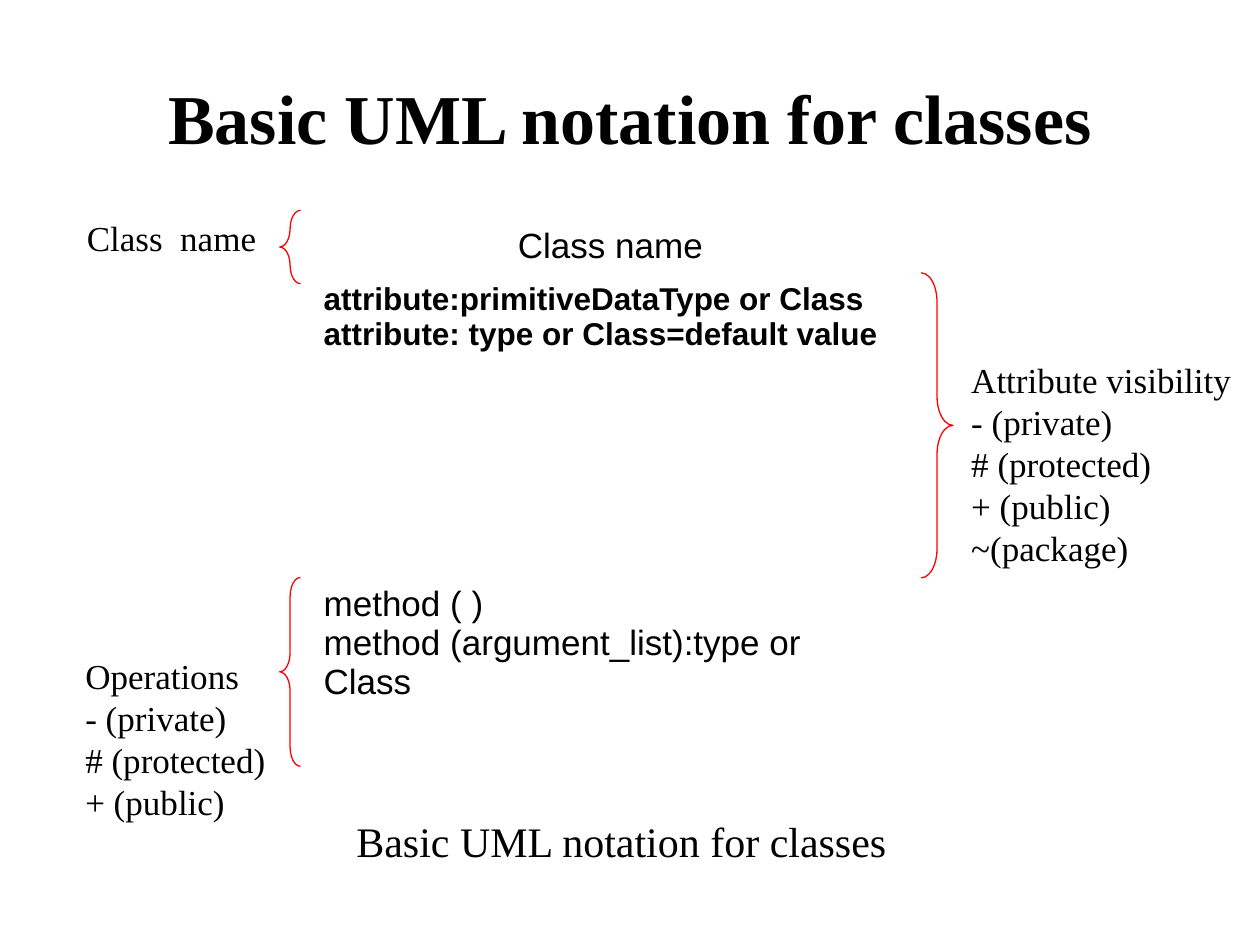
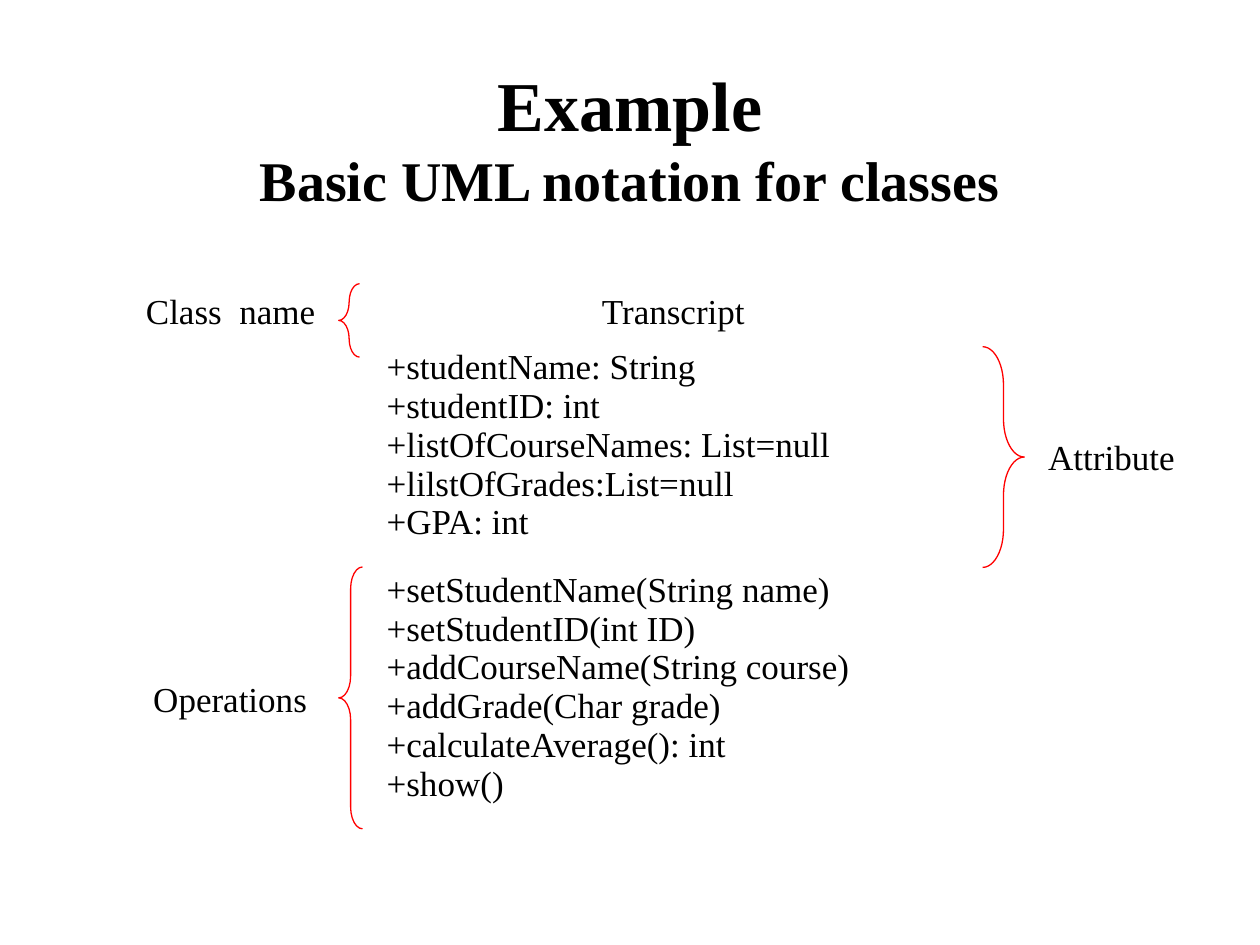
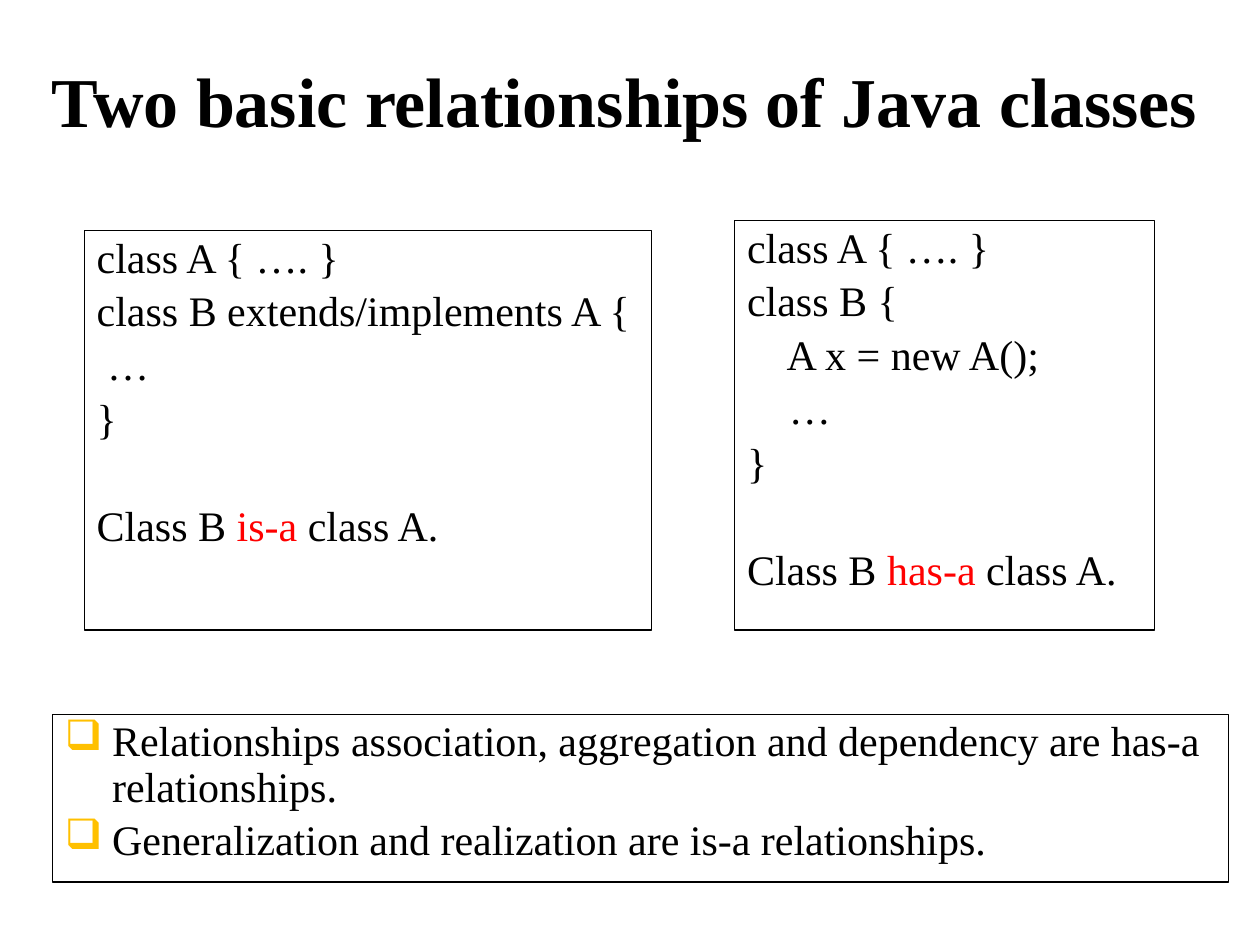
from lxml import etree
from pptx import Presentation, util as u
from pptx.dml.color import RGBColor
from pptx.enum import shapes, text
from pptx.oxml import ns

BLACK, RED, GOLD = "000000", "FF0000", "FFC000"
SERIF, SANS = "Times New Roman", "Arial"
LEFT, CENTER = text.PP_ALIGN.LEFT, text.PP_ALIGN.CENTER
TOP, MIDDLE = text.MSO_ANCHOR.TOP, text.MSO_ANCHOR.MIDDLE


def color(value):
    """Turn a hex string into a colour."""
    return RGBColor.from_string(value)


def apply(target, values):
    """Set every attribute named in a dict of format values."""
    for name, value in values.items():
        setattr(target, name, value)


class Deck:
    """Hold the shared style and the current slide."""

    hanging = 0.95
    line_width = u.Pt(0.75)
    code_format = {"line_spacing": 0.9, "space_before": u.Pt(4.8)}
    section_gap = u.Pt(35.5)

    def __init__(self):
        """Start an empty 4:3 presentation."""
        self.presentation = Presentation()
        self.presentation.slide_width = u.Cm(25.4)
        self.presentation.slide_height = u.Cm(19.05)
        self.slide = None

    def new_slide(self):
        """Add a blank slide and make it current."""
        self.slide = self.presentation.slides.add_slide(self.presentation.slide_layouts[6])

    def fill_text(self, frame, lines, size=20, font=SERIF, bold=False, align=LEFT):
        """Put in one paragraph per line, with *starred* words in red."""
        for index, line in enumerate(lines):
            paragraph = frame.paragraphs[0] if index == 0 else frame.add_paragraph()
            paragraph.alignment = align
            for part, words in enumerate(line.split("*")):
                if words:
                    run = paragraph.add_run()
                    run.text = words
                    apply(run.font, {"size": u.Pt(size), "name": font, "bold": bold})
                    run.font.color.rgb = color(RED if part % 2 else BLACK)

    def label(self, place, *lines, anchor=TOP, **style):
        """Add a text box."""
        frame = self.slide.shapes.add_textbox(*map(u.Cm, place)).text_frame
        apply(frame, {"word_wrap": True, "vertical_anchor": anchor})
        self.fill_text(frame, lines, **style)
        return frame

    def title(self, place, heading, subheading=None):
        """Add a bold centred title with an optional smaller second line."""
        lines = [heading, subheading] if subheading else [heading]
        frame = self.label(place, *lines, anchor=MIDDLE, size=40, bold=True, align=CENTER)
        if subheading:
            frame.paragraphs[1].runs[0].font.size = u.Pt(32)

    def outlined(self, kind, place, line_color):
        """Add an unfilled shape with a thin outline."""
        shape = self.slide.shapes.add_shape(kind, *map(u.Cm, place))
        shape.shadow.inherit = False
        shape.fill.background()
        shape.line.color.rgb = color(line_color)
        shape.line.width = self.line_width
        return shape

    def brace(self, place, opens_right=False):
        """Add a red brace pointing right, or left when it opens right."""
        shape = self.outlined(shapes.MSO_SHAPE.RIGHT_BRACE, place, RED)
        shape.adjustments[0] = 0.917
        if opens_right:
            shape._element.spPr.xfrm.set("flipH", "1")

    def panel(self, place, lines, bullet=None, conclusion=None):
        """Add a framed list of lines, with a conclusion set apart below."""
        frame = self.outlined(shapes.MSO_SHAPE.RECTANGLE, place, BLACK).text_frame
        apply(frame, {"word_wrap": True, "vertical_anchor": TOP})
        self.fill_text(frame, lines + ([conclusion] if conclusion else []), size=24)
        for paragraph in frame.paragraphs:
            properties = paragraph._p.get_or_add_pPr()
            properties.set("marL", str(u.Cm(self.hanging)))
            properties.set("indent", str(-u.Cm(self.hanging)))
            if bullet:
                tint = etree.SubElement(properties, ns.qn("a:buClr"))
                etree.SubElement(tint, ns.qn("a:srgbClr")).set("val", GOLD)
                etree.SubElement(properties, ns.qn("a:buChar")).set("char", bullet)
            apply(paragraph, self.code_format)
        frame.paragraphs[0].space_before = None
        if conclusion:
            frame.paragraphs[-1].space_before = self.section_gap

    def class_table(self, left, top, heights, compartments):
        """Add a one-column class table from (lines, style) compartments."""
        place = map(u.Cm, (left, top, 12.07, sum(heights)))
        table = self.slide.shapes.add_table(len(heights), 1, *place).table
        apply(table, {"first_row": False, "horz_banding": False})
        for index, (height, (lines, style)) in enumerate(zip(heights, compartments)):
            table.rows[index].height = u.Cm(height)
            cell = table.cell(index, 0)
            cell.fill.background()
            self.fill_text(cell.text_frame, lines, **style)


def notation_slide(deck):
    """Show the parts of a class box."""
    deck.new_slide()
    deck.label((1.48, 4.24, 3.96, 1.12), "Class  name", align=CENTER)
    deck.label((1.47, 13.06, 4.18, 3.68),
               "Operations", "- (private)", "# (protected)", "+ (public)")
    deck.label((6.91, 16.31, 11.24, 1.27), "Basic UML notation for classes",
               size=24, align=CENTER)
    deck.title((1.9, 1.07, 21.6, 2.54), "Basic UML notation for classes")
    deck.brace((18.57, 5.5, 0.64, 6.15))
    deck.brace((5.64, 11.64, 0.42, 3.81), opens_right=True)
    deck.brace((5.64, 4.24, 0.42, 1.48), opens_right=True)
    deck.label((19.33, 7.11, 5.78, 4.52), "Attribute visibility",
               "- (private)", "# (protected)", "+ (public)", "~(package)")
    deck.class_table(6.27, 4.45, (1.04, 6.1, 4.24), [
        (["Class name"], {"font": SANS, "align": CENTER}),
        (["attribute:primitiveDataType or Class",
          "attribute: type or Class=default value"],
         {"font": SANS, "size": 18, "bold": True}),
        (["method ( )", "method (argument_list):type or Class"], {"font": SANS}),
    ])


def example_slide(deck):
    """Show the notation applied to a transcript class."""
    deck.new_slide()
    deck.label((2.67, 5.72, 3.96, 1.12), "Class  name", align=CENTER)
    deck.label((20.88, 8.66, 3.26, 1.12), "Attribute")
    deck.label((2.84, 13.54, 3.65, 1.12), "Operations")
    deck.title((1.9, 1.27, 21.6, 2.97), "Example", "Basic UML notation for classes")
    deck.brace((19.81, 6.99, 0.84, 4.45))
    deck.brace((6.83, 11.43, 0.48, 5.28), opens_right=True)
    deck.brace((6.83, 5.72, 0.42, 1.48), opens_right=True)
    deck.class_table(7.54, 5.79, (1.04, 1.04, 1.04), [
        (["Transcript"], {"align": CENTER}),
        (["+studentName: String", "+studentID: int", "+listOfCourseNames: List=null",
          "+lilstOfGrades:List=null", "+GPA: int"], {}),
        (["+setStudentName(String name)", "+setStudentID(int ID)",
          "+addCourseName(String course)", "+addGrade(Char grade)",
          "+calculateAverage(): int", "+show()"], {}),
    ])


def relationships_slide(deck):
    """Compare is-a and has-a relationships."""
    deck.new_slide()
    deck.title((0.42, 0.42, 24.34, 3.18), "Two basic relationships of Java classes")
    deck.panel((1.7, 4.65, 11.43, 8.05),
               ["class A { …. }", "class B extends/implements A {", " …", "}"],
               conclusion="Class B *is-a* class A.")
    deck.panel((14.81, 4.45, 8.47, 8.25),
               ["class A { …. }", "class B {", "    A x = new A();", "    …", "}"],
               conclusion="Class B *has-a* class A.")
    deck.panel((1.06, 14.4, 23.7, 3.38),
               ["Relationships association, aggregation and dependency are has-a relationships.",
                "Generalization and realization are is-a relationships."], bullet="❑")


def main():
    """Build the three slides and save them."""
    deck = Deck()
    notation_slide(deck)
    example_slide(deck)
    relationships_slide(deck)
    deck.presentation.save("out.pptx")


if __name__ == "__main__":
    main()
